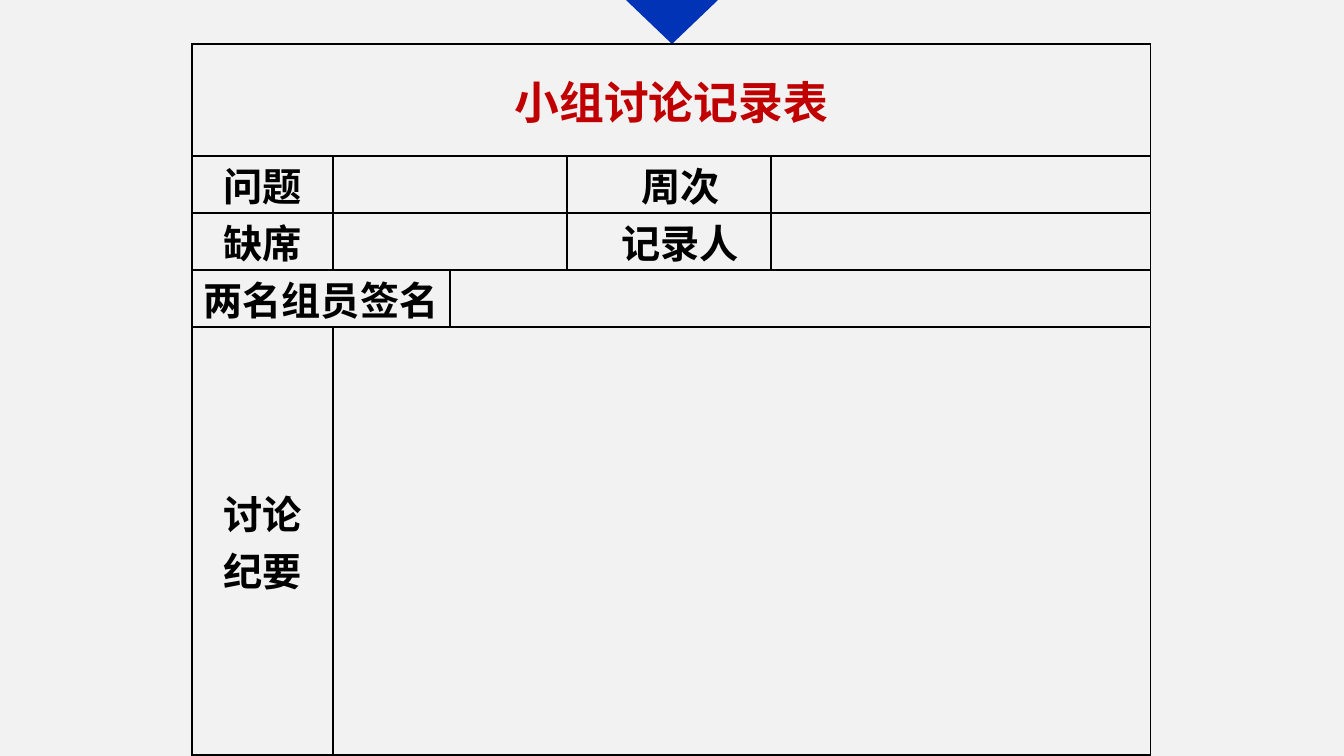
import pptx
import pptx.dml.color
import pptx.enum.shapes
import pptx.enum.text
import pptx.oxml
import pptx.oxml.ns
import pptx.util

RGBColor = pptx.dml.color.RGBColor
PAGE_GREY = RGBColor(0xF2, 0xF2, 0xF2)
MARKER_BLUE = RGBColor(0x00, 0x33, 0xB5)
TITLE_RED = RGBColor(0xC0, 0x00, 0x00)
BLACK = RGBColor(0x00, 0x00, 0x00)

FONT = "Noto Sans CJK SC"
EMU_PER_PX = 914400 / 100.8
PAGE_WIDTH, PAGE_HEIGHT = 1344, 756

COLUMN_WIDTHS = [141, 117, 117, 204, 380]
ROW_HEIGHTS = [112, 57, 57, 57, 428]
# (row, first column, last column)
MERGES = [(0, 0, 4), (1, 1, 2), (2, 1, 2), (3, 0, 1), (3, 2, 4), (4, 1, 4)]
TITLE_FORMAT = {"size": pptx.util.Pt(32), "bold": True, "name": FONT}
LABEL_FORMAT = {"size": pptx.util.Pt(28), "bold": True, "name": FONT}
# (row, column): (lines, first-line indent in px)
LABELS = {
    (1, 0): (["问题"], 0),
    (1, 3): (["周次"], 23),
    (2, 0): (["缺席"], 0),
    (2, 3): (["记录人"], 23),
    (3, 0): (["两名组员签名"], 0),
    (4, 0): (["讨论", "纪要"], 0),
}


def px(length):
    return pptx.util.Emu(round(length * EMU_PER_PX))


def add_marker(slide, left, top, width, height):
    """Triangle pointing down at the form."""
    marker = slide.shapes.add_shape(
        pptx.enum.shapes.MSO_SHAPE.ISOSCELES_TRIANGLE,
        px(left), px(top), px(width), px(height))
    marker.rotation = 180
    marker.shadow.inherit = False
    marker.fill.solid()
    marker.fill.fore_color.rgb = MARKER_BLUE
    marker.line.fill.background()


def format_cell(cell):
    """Thin black borders, no fill, tight margins."""
    properties = cell._tc.get_or_add_tcPr()
    for side in "LRTB":
        properties.append(pptx.oxml.parse_xml(
            f'<a:ln{side} {pptx.oxml.ns.nsdecls("a")} w="12700"><a:solidFill>'
            f'<a:srgbClr val="{BLACK}"/></a:solidFill></a:ln{side}>'))
    cell.fill.background()
    layout = {
        "margin_left": px(4), "margin_right": px(4),
        "margin_top": 0, "margin_bottom": 0,
        "vertical_anchor": pptx.enum.text.MSO_ANCHOR.MIDDLE,
    }
    for name, value in layout.items():
        setattr(cell, name, value)


def write_cell(cell, lines, font_format, color, indent=0):
    cell.text = "\n".join(lines)
    for paragraph in cell.text_frame.paragraphs:
        paragraph.alignment = pptx.enum.text.PP_ALIGN.CENTER
        if indent:
            paragraph._p.get_or_add_pPr().set("indent", str(px(indent)))
        for run in paragraph.runs:
            for name, value in font_format.items():
                setattr(run.font, name, value)
            run.font.color.rgb = color
            run._r.get_or_add_rPr().append(pptx.oxml.parse_xml(
                f'<a:ea {pptx.oxml.ns.nsdecls("a")} typeface="{FONT}"/>'))


def add_record_form(slide, left, top):
    form = slide.shapes.add_table(
        len(ROW_HEIGHTS), len(COLUMN_WIDTHS), px(left), px(top),
        px(sum(COLUMN_WIDTHS)), px(sum(ROW_HEIGHTS))).table
    form.first_row = form.horz_banding = False
    for column, width in zip(form.columns, COLUMN_WIDTHS):
        column.width = px(width)
    for row, height in zip(form.rows, ROW_HEIGHTS):
        row.height = px(height)
    for cell in form.iter_cells():
        format_cell(cell)
    for row, first, last in MERGES:
        form.cell(row, first).merge(form.cell(row, last))

    write_cell(form.cell(0, 0), ["小组讨论记录表"], TITLE_FORMAT, TITLE_RED)
    for (row, column), (lines, indent) in LABELS.items():
        write_cell(form.cell(row, column), lines, LABEL_FORMAT, BLACK, indent)


def main():
    presentation = pptx.Presentation()
    presentation.slide_width = px(PAGE_WIDTH)
    presentation.slide_height = px(PAGE_HEIGHT)
    slide = presentation.slides.add_slide(presentation.slide_layouts[6])
    slide.background.fill.solid()
    slide.background.fill.fore_color.rgb = PAGE_GREY
    add_marker(slide, 626, 0, 92, 44)
    add_record_form(slide, 192, 44)
    presentation.save("out.pptx")


if __name__ == "__main__":
    main()
